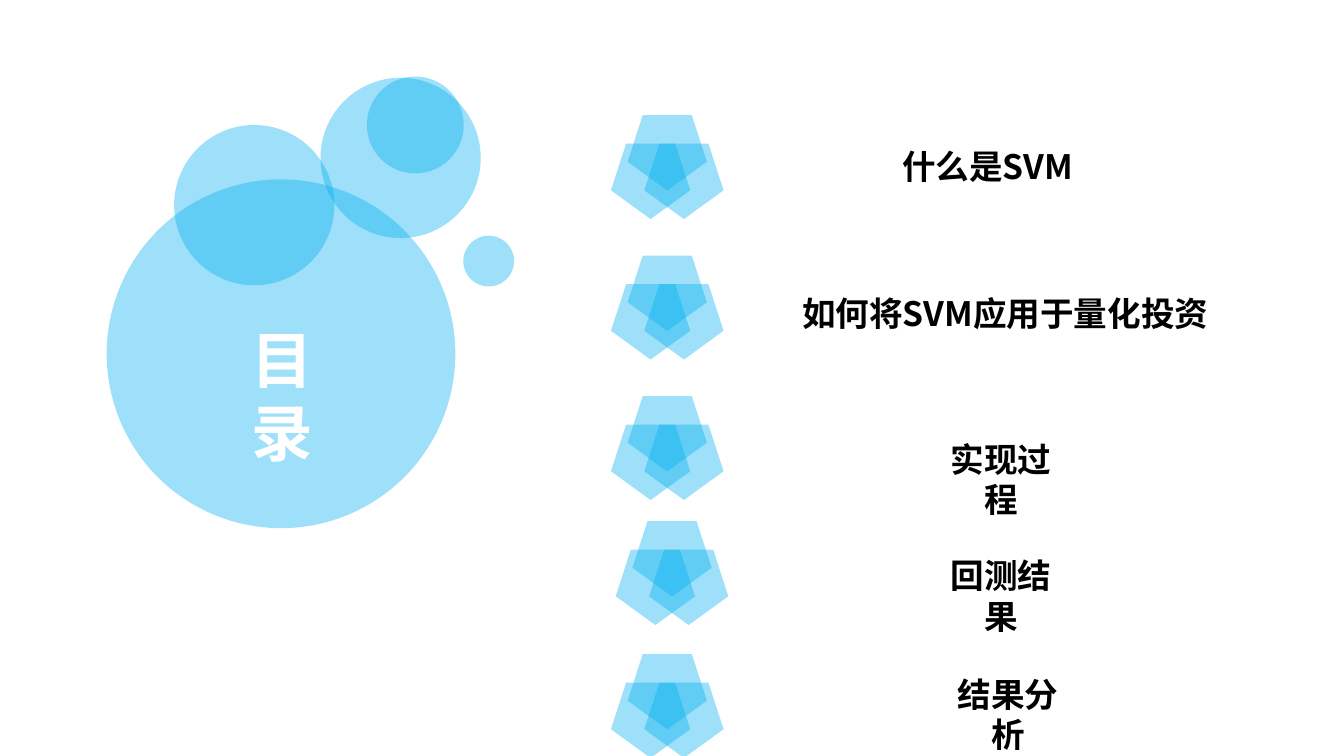
import pptx
import pptx.util
import pptx.dml.color
import pptx.enum.shapes
import pptx.enum.text
import pptx.oxml
import pptx.oxml.ns
from dataclasses import dataclass

Cm = pptx.util.Cm
SHAPE = pptx.enum.shapes.MSO_SHAPE


@dataclass(frozen=True)
class Theme:
    font: str = "Noto Sans CJK SC"
    blue: str = "00B0F0"
    black: str = "000000"
    white: str = "FFFFFF"
    alpha: int = 38
    head: int = 44
    body: int = 24


THEME = Theme()

TITLE = ("目录", (5.36, 8, 3.5, 2.03))

ITEMS = [
    {"text": "什么是SVM", "mid": 24.9, "top": 3.58, "width": 4.95, "icon": (15.4, 2.9)},
    {"text": "如何将SVM应用于量化投资", "mid": 25.34, "top": 7.29, "width": 11.1, "icon": (15.4, 6.44)},
    {"text": "实现过程", "mid": 25.23, "top": 10.95, "width": 3.78, "icon": (15.4, 9.98)},
    {"text": "回测结果", "mid": 25.23, "top": 13.89, "width": 3.78, "icon": (15.52, 13.13)},
    {"text": "结果分析", "mid": 25.41, "top": 16.87, "width": 3.78, "icon": (15.4, 16.48)},
]

BUBBLES = [
    (2.69, 4.52, 8.79),
    (4.39, 3.15, 4.04),
    (8.08, 1.96, 4.04),
    (9.25, 1.93, 2.44),
    (11.68, 5.94, 1.28),
]

PETALS = [(0.42, 0), (0.84, 0.72), (0, 0.72)]
PETAL = (2, 1.9)
LINE = 1.19


def glass(shapes, kind, *box):
    shape = shapes.add_shape(kind, *map(Cm, box))
    shape.shadow.inherit = False
    shape.line.fill.background()
    shape.fill.solid()
    shape.fill.fore_color.rgb = pptx.dml.color.RGBColor.from_string(THEME.blue)
    tone = next(shape.element.iter(pptx.oxml.ns.qn("a:srgbClr")))
    alpha = pptx.oxml.parse_xml(
        f'<a:alpha {pptx.oxml.ns.nsdecls("a")} val="{THEME.alpha * 1000}"/>'
    )
    tone.append(alpha)
    return shape


def write(shape, text, *, size, color):
    frame = shape.text_frame
    frame.word_wrap = False
    frame.auto_size = pptx.enum.text.MSO_AUTO_SIZE.SHAPE_TO_FIT_TEXT
    frame.vertical_anchor = pptx.enum.text.MSO_ANCHOR.TOP
    frame.margin_left = frame.margin_right = Cm(0.2)
    frame.margin_top = frame.margin_bottom = Cm(0.1)
    para = frame.paragraphs[0]
    para.alignment = pptx.enum.text.PP_ALIGN.CENTER
    run = para.add_run()
    run.text = text
    run.font.name = THEME.font
    run.font.size = pptx.util.Pt(size)
    run.font.bold = True
    run.font.color.rgb = pptx.dml.color.RGBColor.from_string(color)
    latin = next(shape.element.iter(pptx.oxml.ns.qn("a:latin")))
    latin.addnext(pptx.oxml.parse_xml(
        f'<a:ea {pptx.oxml.ns.nsdecls("a")} typeface="{THEME.font}"/>'
    ))


def main():
    deck = pptx.Presentation()
    deck.slide_width, deck.slide_height = Cm(33.88), Cm(19.05)
    slide = deck.slides.add_slide(deck.slide_layouts[5])
    shapes = slide.shapes

    for item in ITEMS:
        left, top = item["icon"]
        icon = shapes.add_group_shape()
        for dx, dy in PETALS:
            petal = glass(icon.shapes, SHAPE.REGULAR_PENTAGON, left + dx, top + dy, *PETAL)
            petal.rotation = 180
        width = item["width"]
        box = (item["mid"] - width / 2, item["top"], width, LINE)
        label = shapes.add_textbox(*map(Cm, box))
        write(label, item["text"], size=THEME.body, color=THEME.black)

    for left, top, size in BUBBLES:
        glass(shapes, SHAPE.OVAL, left, top, size, size)

    text, box = TITLE
    title = shapes.title
    title.left, title.top, title.width, title.height = map(Cm, box)
    write(title, text, size=THEME.head, color=THEME.white)
    title.element.getparent().append(title.element)

    deck.save("out.pptx")


if __name__ == "__main__":
    main()
